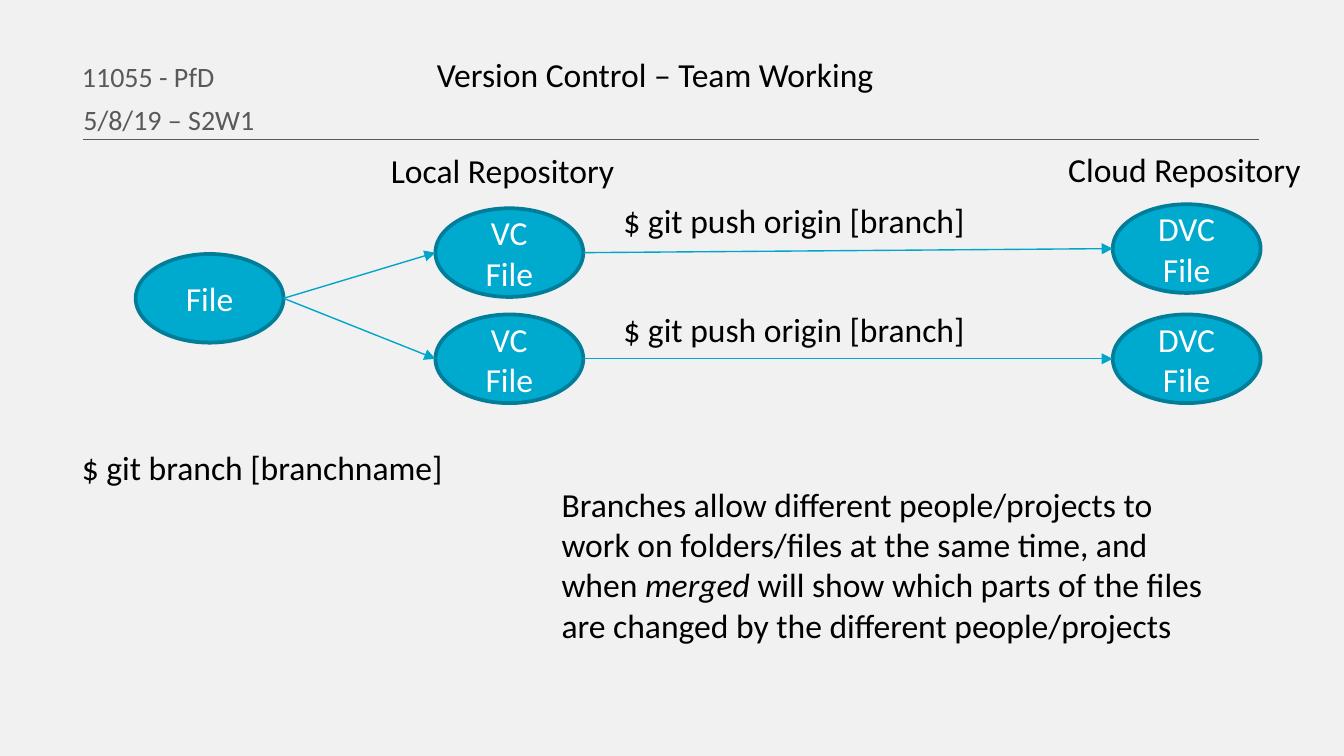
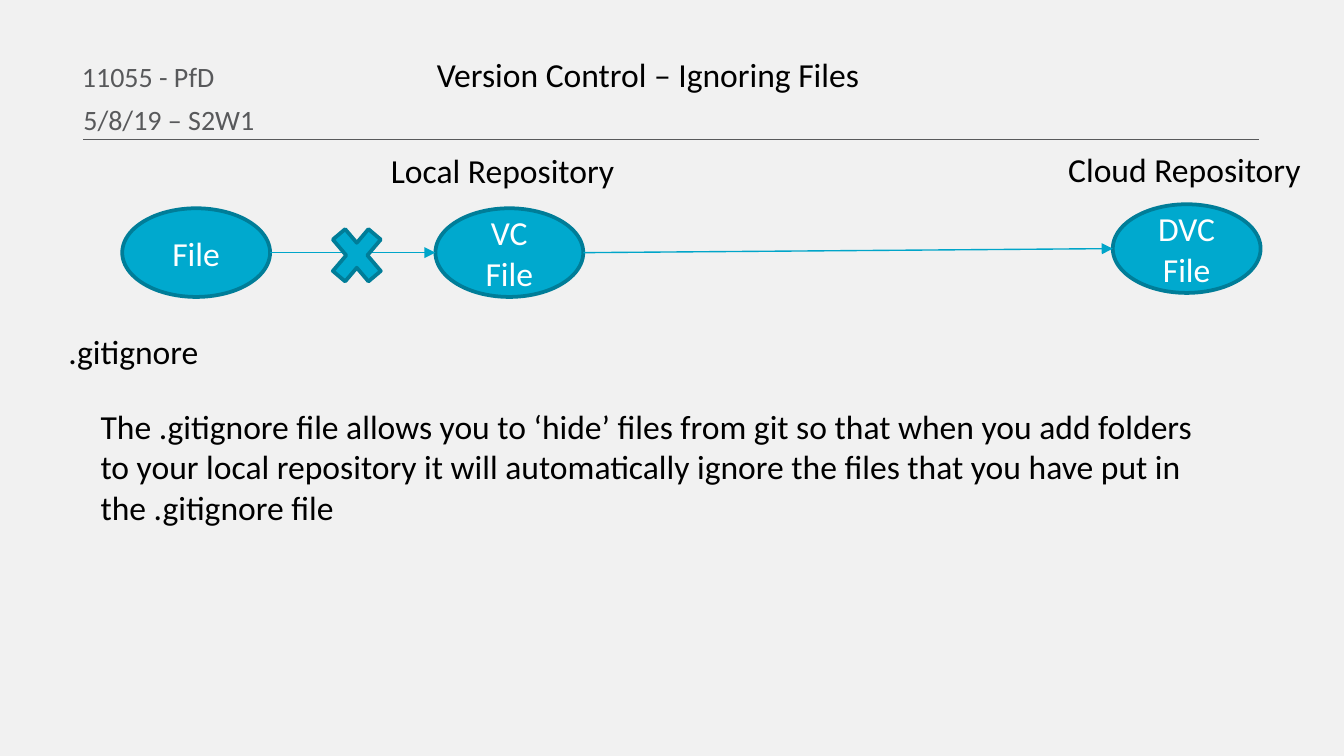
from typing import NamedTuple

from lxml import etree
from pptx import Presentation
from pptx import util as u
from pptx.dml.color import RGBColor
from pptx.enum import shapes, text
from pptx.oxml import ns

PX = 9144  # EMU in one px: 100 px to the inch
SLIDE_W = 1000

PAPER = RGBColor(0xF1, 0xF1, 0xF1)
GREY = RGBColor(0x58, 0x59, 0x5B)
BLACK = RGBColor(0, 0, 0)
WHITE = RGBColor(0xFF, 0xFF, 0xFF)
CYAN = RGBColor(0x00, 0xA9, 0xCE)
TEAL = RGBColor(0x00, 0x7D, 0x98)
ARROW = RGBColor(0x00, 0xA5, 0xC9)

FONT = "Calibri"
TEXT_PT, COURSE_PT = 18, 15
NODE_W, NODE_H = 110, 66
VC_LEFT, DVC_LEFT = 324, 828
TOP_ROW, BRANCH_ROW = 155, 234
ELLIPSE_LEFT, ELLIPSE_RIGHT = 2, 6  # connection sites of an ellipse


class Box(NamedTuple):
    left: int
    top: int
    width: int
    height: int


class Run(NamedTuple):
    words: str
    italic: bool = False


class Label(NamedTuple):
    box: Box
    runs: tuple[Run, ...]


class Node(NamedTuple):
    left: int
    top: int
    lines: tuple[str, ...]


TITLE_BOX = Box(315, 35, 346, 40)
COURSE_LINES = (
    Label(Box(51, 39, 698, 25), (Run("11055 - PfD"),)),
    Label(Box(52, 71, 697, 23), (Run("5/8/19 – S2W1"),)),
)
REPOSITORY_LABELS = (
    Label(Box(281, 107, 197, 40), (Run("Local Repository"),)),
    Label(Box(785, 106, 197, 40), (Run("Cloud Repository"),)),
)
VC_LINES, DVC_LINES = ("VC File",), ("DVC", "File")
VC = Node(VC_LEFT, TOP_ROW, VC_LINES)
DVC = Node(DVC_LEFT, TOP_ROW - 3, DVC_LINES)
VC_BRANCH = Node(VC_LEFT, BRANCH_ROW, VC_LINES)
DVC_BRANCH = Node(DVC_LEFT, BRANCH_ROW, DVC_LINES)

PUSH = (Run("$ git push origin [branch]"),)
TEAM_LABELS = (
    *(Label(Box(454, top, 374, 40), PUSH) for top in (144, 225)),
    Label(Box(51, 328, 338, 40), (Run("$ git branch [branchname]"),)),
    Label(Box(408, 355, 513, 131), (
        Run("Branches allow different people/projects to work on folders/files "
            "at the same time, and when "),
        Run("merged ", italic=True),
        Run("will show which parts of the files are changed by the different "
            "people/projects"),
    )),
)
IGNORE_LABELS = (
    Label(Box(41, 241, 338, 40), (Run(".gitignore"),)),
    Label(Box(65, 297, 859, 101), (
        Run("The .gitignore file allows you to ‘hide’ files from git so that when "
            "you add folders to your local repository it will automatically "
            "ignore the files that you have put in the .gitignore file"),
    )),
)


def emu(*lengths: int) -> list[u.Emu]:
    return [u.Emu(n * PX) for n in lengths]


def add_runs(p, runs: tuple[Run, ...], size: int, color: RGBColor) -> None:
    for run in runs:
        r = p.add_run()
        r.text = run.words
        r.font.name, r.font.size = FONT, u.Pt(size)
        r.font.color.rgb = color
        if run.italic:
            r.font.italic = True


def fill_placeholder(sp, label: Label, size: int, color: RGBColor) -> None:
    sp.left, sp.top, sp.width, sp.height = emu(*label.box)
    tf = sp.text_frame
    tf.auto_size = text.MSO_AUTO_SIZE.NONE
    tf.vertical_anchor = text.MSO_ANCHOR.TOP
    p = tf.paragraphs[0]
    p.alignment = text.PP_ALIGN.LEFT
    pPr = p._p.get_or_add_pPr()
    pPr.set("marL", "0")
    pPr.set("indent", "0")
    etree.SubElement(pPr, ns.qn("a:buNone"))
    add_runs(p, label.runs, size, color)


def add_label(slide, label: Label) -> None:
    tf = slide.shapes.add_textbox(*emu(*label.box)).text_frame
    tf.word_wrap = True
    tf.auto_size = text.MSO_AUTO_SIZE.SHAPE_TO_FIT_TEXT
    add_runs(tf.paragraphs[0], label.runs, TEXT_PT, BLACK)


def add_solid(slide, kind: shapes.MSO_SHAPE, box: Box):
    """Add a preset shape in the diagram's fill and outline."""
    sp = slide.shapes.add_shape(kind, *emu(*box))
    sp.shadow.inherit = False
    sp.fill.solid()
    sp.fill.fore_color.rgb = CYAN
    sp.line.color.rgb = TEAL
    sp.line.width = u.Pt(2)
    return sp


def add_node(slide, node: Node):
    sp = add_solid(slide, shapes.MSO_SHAPE.OVAL,
                   Box(node.left, node.top, NODE_W, NODE_H))
    tf = sp.text_frame
    tf.word_wrap = True
    tf.vertical_anchor = text.MSO_ANCHOR.MIDDLE
    for i, line in enumerate(node.lines):
        p = tf.add_paragraph() if i else tf.paragraphs[0]
        p.alignment = text.PP_ALIGN.CENTER
        add_runs(p, (Run(line),), TEXT_PT, WHITE)
    return sp


def add_line(slide, ends: list[u.Emu], color: RGBColor):
    line = slide.shapes.add_connector(shapes.MSO_CONNECTOR.STRAIGHT, *ends)
    line.line.color.rgb = color
    line.line.width = u.Pt(0.75)
    etree.SubElement(line._element.spPr, ns.qn("a:effectLst"))
    return line


def add_arrow(slide, start, end) -> None:
    """Join the right side of one ellipse to the left side of another."""
    ends = [start.left + start.width, start.top + start.height // 2,
            end.left, end.top + end.height // 2]
    line = add_line(slide, ends, ARROW)
    etree.SubElement(line.line._get_or_add_ln(), ns.qn("a:tailEnd"), type="triangle")
    joints = line._element.nvCxnSpPr.cNvCxnSpPr
    for tag, sp, site in (("a:stCxn", start, ELLIPSE_RIGHT),
                          ("a:endCxn", end, ELLIPSE_LEFT)):
        etree.SubElement(joints, ns.qn(tag), id=str(sp.shape_id), idx=str(site))


def add_chain(slide, *ellipses) -> None:
    for start, end in zip(ellipses, ellipses[1:]):
        add_arrow(slide, start, end)


def add_lesson_slide(prs, title: str, labels: tuple[Label, ...]):
    """Add a slide with the course header, title, rule and text labels."""
    slide = prs.slides.add_slide(prs.slide_layouts.get_by_name("Two Content"))
    add_line(slide, emu(62, 104, 937, 104), GREY)
    fill_placeholder(slide.shapes.title, Label(TITLE_BOX, (Run(title),)),
                     TEXT_PT, BLACK)
    for idx, course_line in enumerate(COURSE_LINES, start=1):
        fill_placeholder(slide.placeholders[idx], course_line, COURSE_PT, GREY)
    for label in REPOSITORY_LABELS + labels:
        add_label(slide, label)
    return slide


def add_team_slide(prs) -> None:
    slide = add_lesson_slide(prs, "Version Control – Team Working", TEAM_LABELS)
    file = add_node(slide, Node(101, 189, ("File",)))
    for vc, dvc in ((VC, DVC), (VC_BRANCH, DVC_BRANCH)):
        add_chain(slide, file, add_node(slide, vc), add_node(slide, dvc))


def add_ignore_slide(prs) -> None:
    slide = add_lesson_slide(prs, "Version Control – Ignoring Files", IGNORE_LABELS)
    file = Node(91, TOP_ROW, ("File",))
    add_chain(slide, *(add_node(slide, node) for node in (file, VC, DVC)))
    add_solid(slide, shapes.MSO_SHAPE.MATH_MULTIPLY, Box(240, 160, 51, 60))


def main() -> None:
    prs = Presentation()
    prs.slide_width = u.Emu(SLIDE_W * PX)
    prs.slide_height = u.Emu(prs.slide_width * 9 // 16)
    background = prs.slide_master.background.fill
    background.solid()
    background.fore_color.rgb = PAPER
    add_team_slide(prs)
    add_ignore_slide(prs)
    prs.save("out.pptx")


if __name__ == "__main__":
    main()
